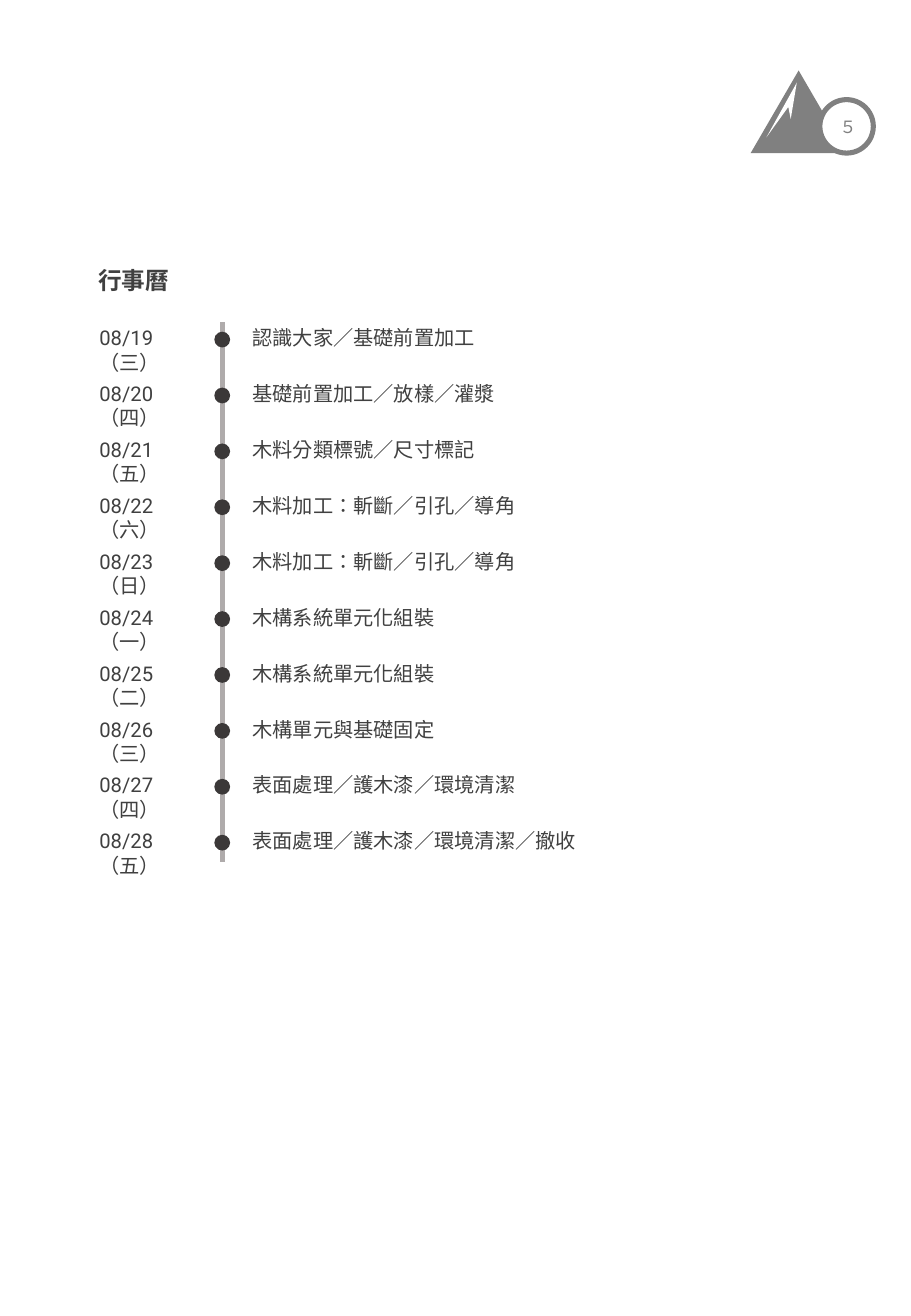
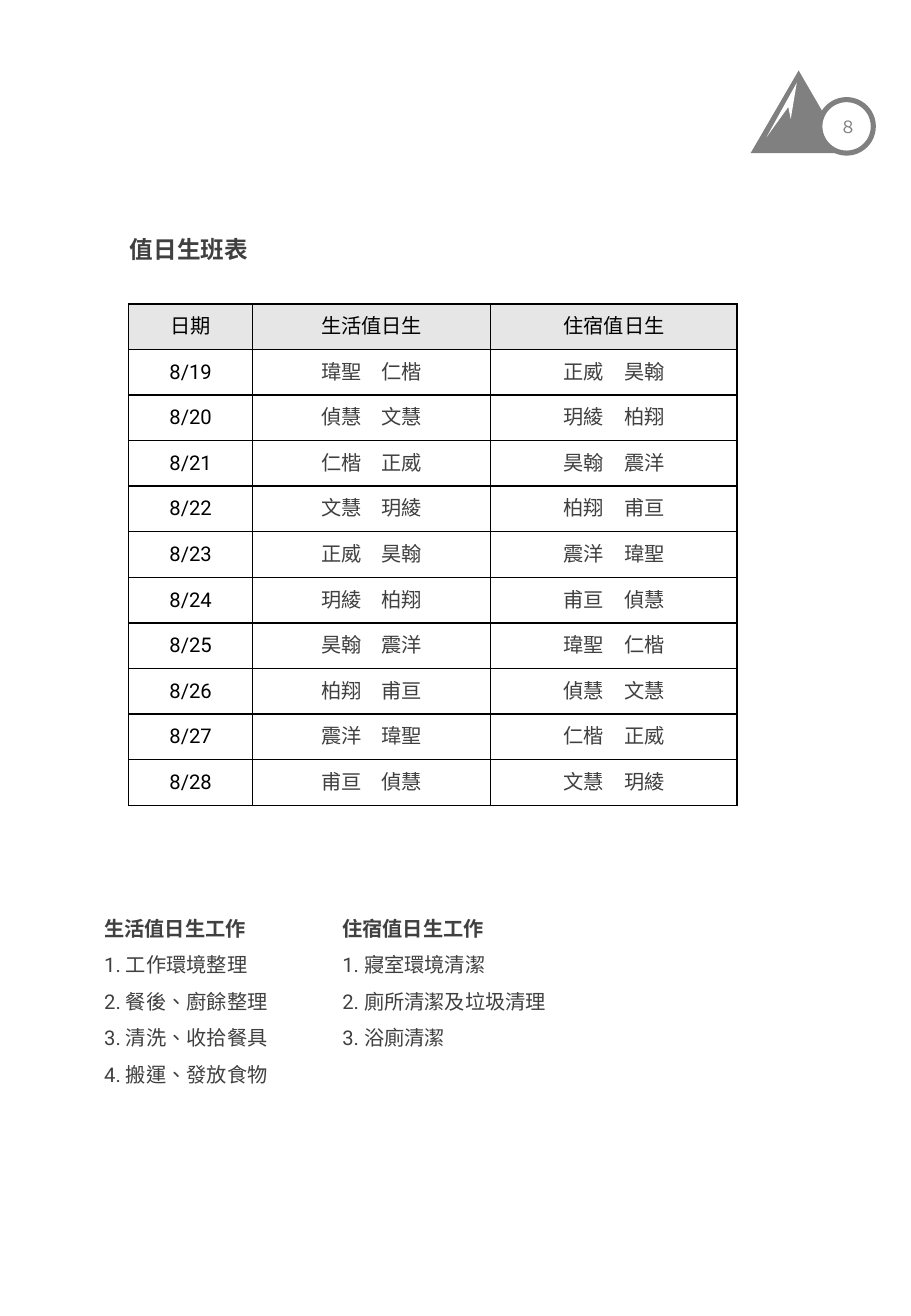
from lxml.etree import SubElement
from pptx import Presentation
from pptx.dml.color import RGBColor
from pptx.enum.shapes import MSO_CONNECTOR as Link, MSO_SHAPE as Kind
from pptx.enum.text import MSO_ANCHOR as Anchor, PP_ALIGN as Align
from pptx.oxml.ns import qn
from pptx.util import Inches, Pt

WIDE, HIGH = 7.5, 10.83
FONT = "Roboto"
WHITE, BLACK, INK, GREY = "FFFFFF", "000000", "404040", "808080"
DOT, RAIL, HEAD = "3B3838", "AFABAB", "E7E6E6"
BADGE = (6.18, 0.58, 1.01, 0.68)

TASKS = [
    "認識大家／基礎前置加工",
    "基礎前置加工／放樣／灌漿",
    "木料分類標號／尺寸標記",
    "木料加工：斬斷／引孔／導角",
    "木料加工：斬斷／引孔／導角",
    "木構系統單元化組裝",
    "木構系統單元化組裝",
    "木構單元與基礎固定",
    "表面處理／護木漆／環境清潔",
    "表面處理／護木漆／環境清潔／撤收",
]
FIRST = 19
WEEK = "三四五六日一二"
TEAMS = [
    ["瑋聖", "仁楷", "正威", "昊翰", "震洋"],
    ["偵慧", "文慧", "玥綾", "柏翔", "甫亘"],
]
DUTIES = {
    "生活值日生工作": ["工作環境整理", "餐後、廚餘整理",
                "清洗、收拾餐具", "搬運、發放食物"],
    "住宿值日生工作": ["寢室環境清潔", "廁所清潔及垃圾清理", "浴廁清潔"],
}


def rgb(code):
    return RGBColor.from_string(code)


def inches(box):
    return [Inches(v) for v in box]


def style(para, size=12, color=INK, bold=False, align=Align.LEFT):
    para.alignment = align
    for run in para.runs:
        font = run.font
        font.size, font.bold, font.name = Pt(size), bold, FONT
        font.color.rgb = rgb(color)
        props = run._r.get_or_add_rPr()
        props.set("lang", "zh-TW")
        SubElement(props, qn("a:ea"), typeface=FONT)


def paint(shape, fill, line=None):
    shape.shadow.inherit = False
    shape.fill.solid()
    shape.fill.fore_color.rgb = rgb(fill)
    if line:
        shape.line.color.rgb = rgb(line)
        shape.line.width = Pt(3)
    else:
        shape.line.fill.background()


def write(slide, box, text, **look):
    frame = slide.shapes.add_textbox(*inches(box)).text_frame
    frame.word_wrap = True
    frame.text = text
    for para in frame.paragraphs:
        style(para, **look)
    return frame


def title(slide, x, y, text):
    write(slide, (x, y, 3, 0.34), text, size=14, bold=True)


def badge(slide, box, number):
    """Mountain with the page number in a ring at its right foot."""
    x, y, w, h = box
    group = slide.shapes.add_group_shape()
    peak = group.shapes.add_shape(Kind.ISOSCELES_TRIANGLE,
                                  *inches((x, y, w - 0.22, h)))
    paint(peak, GREY)
    snow = [(round((x + dx) * 100), round((y + dy) * 100)) for dx, dy in
            [(0.13, 0.55), (0.38, 0.1), (0.33, 0.4), (0.31, 0.3)]]
    outline = group.shapes.build_freeform(*snow[0], scale=Inches(0.01))
    outline.add_line_segments(snow[1:], close=True)
    paint(outline.convert_to_shape(), WHITE)

    side = 0.44
    ring = slide.shapes.add_shape(
        Kind.OVAL, *inches((x + w - side, y + h - side, side, side)))
    paint(ring, WHITE, GREY)
    frame = ring.text_frame
    frame.text = number
    frame.vertical_anchor = Anchor.MIDDLE
    style(frame.paragraphs[0], 10, GREY, align=Align.CENTER)


def timeline(slide, box):
    """Dates left of a rail, one dot a day, tasks to its right."""
    x, y, w, h = box
    rail, pitch, dot = x + 1.11, 0.46, 0.13
    line = slide.shapes.add_connector(
        Link.STRAIGHT, *inches((rail, y + 0.02, rail, y + h)))
    line.line.color.rgb = rgb(RAIL)
    line.line.width = Pt(3)
    SubElement(line._element.spPr, qn("a:effectLst"))
    for day, task in enumerate(TASKS):
        top = y + day * pitch
        date = f"08/{FIRST + day} （{WEEK[day % len(WEEK)]}）"
        write(slide, (x, top, 1, 0.3), date)
        mark = slide.shapes.add_shape(
            Kind.OVAL, *inches((rail - dot / 2, top + 0.1, dot, dot)))
        paint(mark, DOT)
        write(slide, (x + 1.26, top, w - 1.26, 0.3), task)


def roster():
    """Teams take turns by day; each turn moves on by one person."""
    rows = [["日期", "生活值日生", "住宿值日生"]]
    for day in range(len(TASKS)):
        turn, side = divmod(day, len(TEAMS))
        team = TEAMS[side]
        crew = [team[(turn + n) % len(team)] for n in range(4)]
        rows.append([f"8/{FIRST + day}", "　".join(crew[:2]),
                     "　".join(crew[2:])])
    return rows


def border(cell):
    props = cell._tc.get_or_add_tcPr()
    for edge in ("lnL", "lnR", "lnT", "lnB"):
        line = SubElement(props, qn(f"a:{edge}"), w=str(Pt(1)))
        fill = SubElement(line, qn("a:solidFill"))
        SubElement(fill, qn("a:srgbClr"), val=BLACK)


def duty_table(slide, box):
    rows = roster()
    table = slide.shapes.add_table(len(rows), 3, *inches(box)).table
    table.first_row = table.horz_banding = False
    for col, width in zip(table.columns, (1.02, 1.96, 2.03)):
        col.width = Inches(width)
    for r, row in enumerate(rows):
        for c, text in enumerate(row):
            cell = table.cell(r, c)
            border(cell)
            cell.fill.solid()
            cell.fill.fore_color.rgb = rgb(WHITE if r else HEAD)
            cell.vertical_anchor = Anchor.MIDDLE
            cell.text_frame.text = text
            style(cell.text_frame.paragraphs[0],
                  color=INK if r and c else BLACK, align=Align.CENTER)


def duty_list(slide, box, name, jobs):
    lines = [name] + [f"{n}. {job}" for n, job in enumerate(jobs, 1)]
    frame = write(slide, box, "\n".join(lines))
    for para in frame.paragraphs:
        para.line_spacing = 1.5
    for run in frame.paragraphs[0].runs:
        run.font.bold = True


def new_page(deck, number):
    slide = deck.slides.add_slide(deck.slide_layouts[6])
    badge(slide, BADGE, number)
    return slide


def calendar_page(deck):
    slide = new_page(deck, "５")
    title(slide, 0.71, 2.14, "行事曆")
    timeline(slide, (0.72, 2.63, 5, 4.46))


def duty_page(deck):
    slide = new_page(deck, "８")
    title(slide, 0.97, 1.88, "值日生班表")
    duty_table(slide, (1.06, 2.5, 5.01, 4.13))
    for n, (name, jobs) in enumerate(DUTIES.items()):
        duty_list(slide, (0.76 + n * 1.96, 7.39, 2.36, 1.62), name, jobs)


def main():
    deck = Presentation()
    deck.slide_width, deck.slide_height = Inches(WIDE), Inches(HIGH)
    calendar_page(deck)
    duty_page(deck)
    deck.save("out.pptx")


if __name__ == "__main__":
    main()
